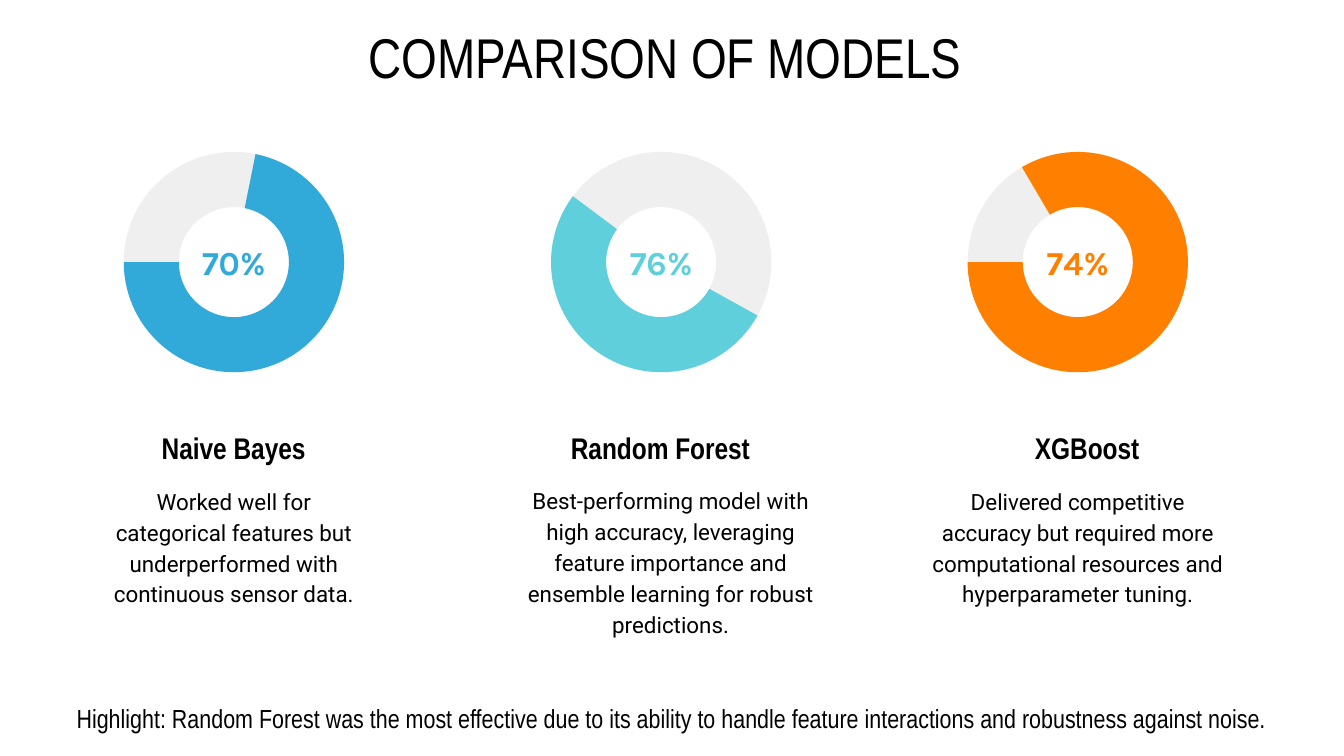
"""Build a slide that compares three models with ring gauges."""
import pptx
import pptx.dml.color
import pptx.enum.shapes
import pptx.enum.text
import pptx.util

Pt = pptx.util.Pt
RGB = pptx.dml.color.RGBColor
BLACK = RGB(0x00, 0x00, 0x00)
GREY = RGB(0xEF, 0xEF, 0xEF)
BLUE = RGB(0x32, 0xAA, 0xD9)
TEAL = RGB(0x5F, 0xD0, 0xDB)
ORANGE = RGB(0xFF, 0x80, 0x01)


class Page:
    fonts = {
        "title": {"name": "Arial Narrow", "size": Pt(30)},
        "rate": {"name": "Karla", "size": Pt(18), "bold": True},
        "head": {"name": "Arial Narrow", "size": Pt(16), "bold": True},
        "body": {"name": "Roboto", "size": Pt(12)},
        "note": {"name": "Arial Narrow", "size": Pt(14)},
    }
    wide = dict.fromkeys(("margin_left", "margin_right"), Pt(14.4))
    wide |= dict.fromkeys(("margin_top", "margin_bottom"), 0)
    even = dict.fromkeys(wide, Pt(7.2))
    frames = {"head": wide, "body": wide}
    spacing = {"body": 1.15}

    def __init__(self, slide):
        self.slide = slide

    def text(self, kind, words, mid, top, width, height, color=BLACK):
        box = self.slide.shapes.add_textbox(
            Pt(mid - width / 2), Pt(top), Pt(width), Pt(height))
        frame = box.text_frame
        frame.word_wrap = True
        frame.vertical_anchor = pptx.enum.text.MSO_ANCHOR.MIDDLE
        for key, value in self.frames.get(kind, self.even).items():
            setattr(frame, key, value)
        para = frame.paragraphs[0]
        para.alignment = pptx.enum.text.PP_ALIGN.CENTER
        para.line_spacing = self.spacing.get(kind)
        run = para.add_run()
        run.text = words
        for key, value in self.fonts[kind].items():
            setattr(run.font, key, value)
        run.font.color.rgb = color

    def arc(self, mid, top, size, start, end, color):
        shape = self.slide.shapes.add_shape(
            pptx.enum.shapes.MSO_SHAPE.BLOCK_ARC,
            Pt(mid - size / 2), Pt(top), Pt(size), Pt(size))
        for index, value in enumerate((start * 0.6, end * 0.6, 0.25)):
            shape.adjustments[index] = value
        shape.shadow.inherit = False
        shape.fill.solid()
        shape.fill.fore_color.rgb = color
        shape.line.fill.background()

    def gauge(self, mid, rate, start, end, color):
        self.arc(mid, 81.4, 118, 180, 179.99, GREY)
        self.arc(mid, 81.4, 118, start, end, color)
        self.text("rate", rate, mid, 126.7, 67, 27.4, color)


def main():
    deck = pptx.Presentation()
    deck.slide_width, deck.slide_height = Pt(720), Pt(405)
    page = Page(deck.slides.add_slide(deck.slide_layouts[6]))

    page.text("title", "COMPARISON OF MODELS", 356.4, 10.8, 648, 38.2)

    gauges = [
        (125.3, "70%", 281.33, 179.99, BLUE),
        (354.2, "76%", 29.04, 216.72, TEAL),
        (577.4, "74%", 239.55, 179.99, ORANGE),
    ]
    for gauge in gauges:
        page.gauge(*gauge)

    heads = ["Naive Bayes", "Random Forest", "XGBoost"]
    for index, head in enumerate(heads):
        page.text("head", head, 125.2 + 228.6 * index, 226.8, 149.8, 25.9)

    bodies = [
        ("Worked well for categorical features but underperformed with "
         "continuous sensor data.", 125.3, 262.8, 170),
        ("Best-performing model with high accuracy, leveraging feature "
         "importance and ensemble learning for robust predictions.",
         359.3, 270.7, 190),
        ("Delivered competitive accuracy but required more computational "
         "resources and hyperparameter tuning.", 577.4, 262.8, 190),
    ]
    for body in bodies:
        page.text("body", *body, 59)

    page.text("note", "Highlight: Random Forest was the most effective due to "
              "its ability to handle feature interactions and robustness "
              "against noise.", 360, 365.8, 748.8, 38.2)
    deck.save("out.pptx")


if __name__ == "__main__":
    main()
